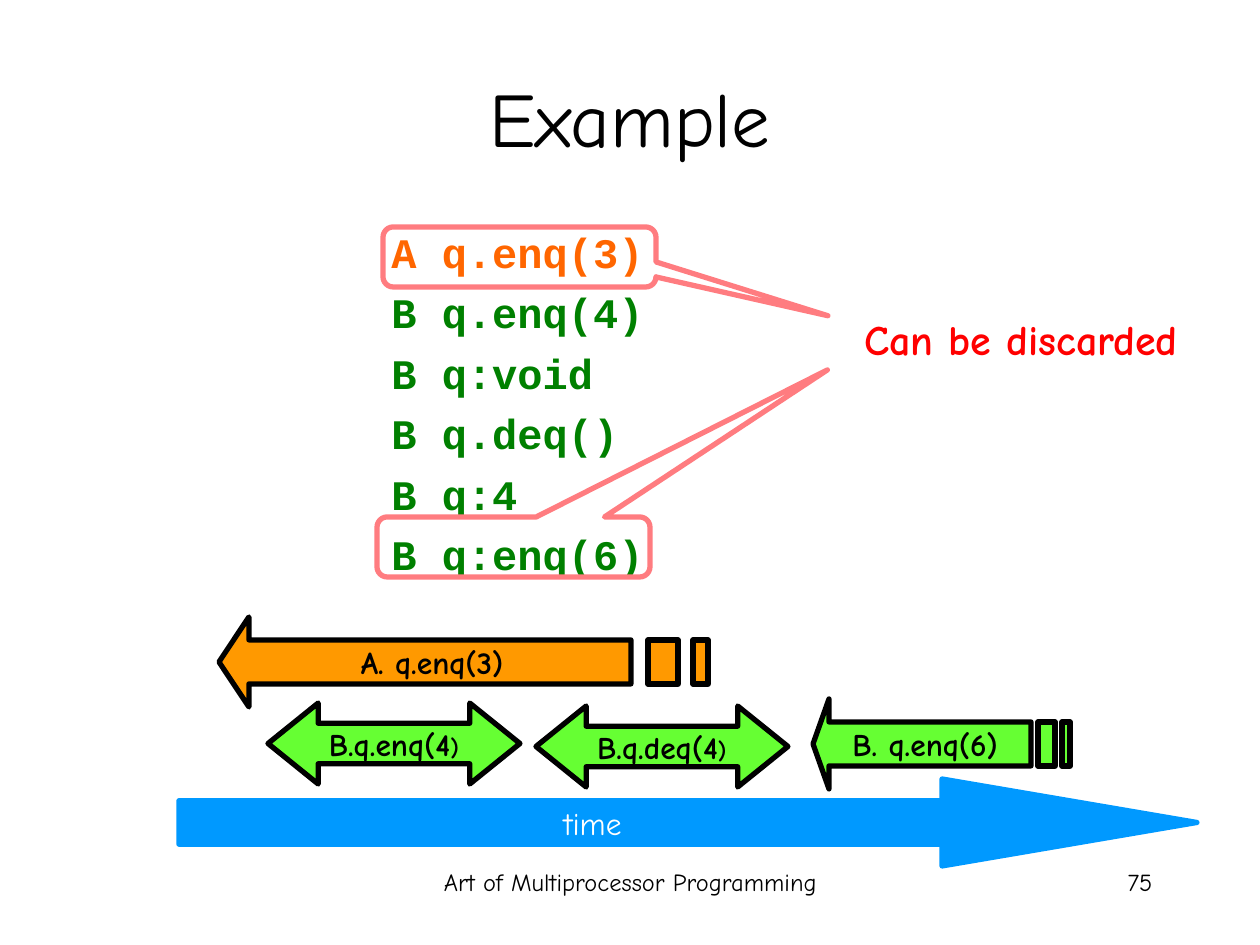
from pptx import Presentation
from pptx.dml.color import RGBColor
from pptx.enum.shapes import MSO_SHAPE
from pptx.enum.text import MSO_ANCHOR, PP_ALIGN
from pptx.util import Inches, Pt

PX = Inches(1) / 126

BLACK = RGBColor(0x00, 0x00, 0x00)
WHITE = RGBColor(0xFF, 0xFF, 0xFF)
RED = RGBColor(0xFF, 0x00, 0x00)
PINK = RGBColor(0xFF, 0x7C, 0x80)
BLUE = RGBColor(0x00, 0x99, 0xFF)
LIME = RGBColor(0x66, 0xFF, 0x33)
AMBER = RGBColor(0xFF, 0x99, 0x00)
THREAD_A = RGBColor(0xFF, 0x66, 0x00)
THREAD_B = RGBColor(0x00, 0x80, 0x00)


def px(value):
    return round(value * PX)


class SlideBuilder:
    body_font = "Comic Neue"
    code_font = "Courier New"
    line_width = Pt(3)

    def __init__(self, slide):
        self.slide = slide
        self.shapes = slide.shapes

    def style_text(self, paragraph, size, color, bold=False, font=None):
        paragraph.font.name = font or self.body_font
        paragraph.font.size = Pt(size)
        paragraph.font.bold = bold
        paragraph.font.color.rgb = color

    def style_shape(self, shape, fill, line):
        shape.shadow.inherit = False
        if fill is None:
            shape.fill.background()
        else:
            shape.fill.solid()
            shape.fill.fore_color.rgb = fill
        shape.line.color.rgb = line
        shape.line.width = self.line_width

    def text(self, box, lines, size, align=PP_ALIGN.LEFT, bold=False,
             font=None, spacing=None, anchor=MSO_ANCHOR.TOP, wrap=True):
        """Add a text box; lines holds (text, colour) pairs."""
        frame = self.shapes.add_textbox(*map(px, box)).text_frame
        frame.word_wrap = wrap
        frame.vertical_anchor = anchor
        for number, (line, color) in enumerate(lines):
            paragraph = frame.add_paragraph() if number else frame.paragraphs[0]
            paragraph.text = line
            paragraph.alignment = align
            if spacing:
                paragraph.line_spacing = spacing
            self.style_text(paragraph, size, color, bold, font)

    def preset(self, kind, box, adjustments, fill, line):
        shape = self.shapes.add_shape(kind, *map(px, box))
        for number, value in enumerate(adjustments):
            shape.adjustments[number] = value
        self.style_shape(shape, fill, line)
        return shape

    def label(self, shape, text):
        frame = shape.text_frame
        frame.word_wrap = False
        frame.vertical_anchor = MSO_ANCHOR.MIDDLE
        paragraph = frame.paragraphs[0]
        paragraph.text = text
        paragraph.alignment = PP_ALIGN.CENTER
        self.style_text(paragraph, 18, BLACK, bold=True)
        return paragraph

    def finished_call(self, left, top, text):
        """A two-headed arrow: a call with both invocation and response."""
        arrow = self.preset(MSO_SHAPE.LEFT_RIGHT_ARROW, (left, top, 252, 81),
                            (0.5, 0.62), LIME, BLACK)
        closing = self.label(arrow, text).add_run()
        closing.text = ")"
        closing.font.size = Pt(14)

    def pending_call(self, tip, top, neck, end, stripes, fill, text, inset):
        """A left arrow with a striped tail: a call with no response yet."""
        upper, middle, lower, bottom = (top + step for step in (23, 45, 67, 90))
        outline = self.shapes.build_freeform(neck, top, scale=PX)
        outline.add_line_segments([(neck, upper), (end, upper), (end, lower),
                                   (neck, lower), (neck, bottom), (tip, middle)])
        for left, right in stripes:
            outline.move_to(right, upper)
            outline.add_line_segments([(right, lower), (left, lower), (left, upper)])
        arrow = outline.convert_to_shape()
        self.style_shape(arrow, fill, BLACK)
        self.label(arrow, text)
        arrow.text_frame.margin_right = px(inset)

    def callout(self, left, top, pointer):
        self.preset(MSO_SHAPE.ROUNDED_RECTANGULAR_CALLOUT, (left, top, 273, 60),
                    (*pointer, 0.17), None, PINK)


def main():
    presentation = Presentation()
    presentation.slide_width = px(1260)
    presentation.slide_height = px(945)
    page = SlideBuilder(presentation.slides.add_slide(presentation.slide_layouts[6]))

    # Footer and title
    page.text((431, 861, 399, 63), [("Art of Multiprocessor Programming", BLACK)],
              14, PP_ALIGN.CENTER)
    page.text((903, 861, 262, 63), [("75", BLACK)], 14, PP_ALIGN.RIGHT)
    page.text((63, 38, 1134, 158), [("Example", BLACK)], 44, PP_ALIGN.CENTER,
              anchor=MSO_ANCHOR.MIDDLE)

    # History of events
    history = ["A q.enq(3)", "B q.enq(4)", "B q:void", "B q.deq()", "B q:4", "B q:enq(6)"]
    page.text((379, 210, 384, 375),
              [(event, THREAD_A if event.startswith("A") else THREAD_B)
               for event in history],
              24, bold=True, font=page.code_font, spacing=1.2)

    # Time axis
    page.preset(MSO_SHAPE.RIGHT_ARROW, (179, 779, 1018, 87), (0.5, 2.93), BLUE, BLUE)
    page.text((551, 798, 83, 50), [("time", WHITE)], 18, PP_ALIGN.RIGHT, wrap=False)

    # Method calls on the timeline
    page.finished_call(268, 703, "B.q.enq(4")
    page.pending_call(219, 617, 249, 631, [(648, 678), (693, 708)], AMBER,
                      "A. q.enq(3)", inset=75)
    page.finished_call(536, 706, "B.q.deq(4")
    page.pending_call(813, 699, 829, 1031, [(1038, 1055), (1062, 1070)], LIME,
                      "B. q.enq(6)", inset=45)

    # Pending invocations that can be dropped
    page.callout(383, 227, (1.13, 0.98))
    page.text((822, 307, 398, 63), [("Can be discarded", RED)], 24,
              PP_ALIGN.CENTER, bold=True)
    page.callout(377, 517, (1.15, -2.95))

    presentation.save("out.pptx")


if __name__ == "__main__":
    main()
